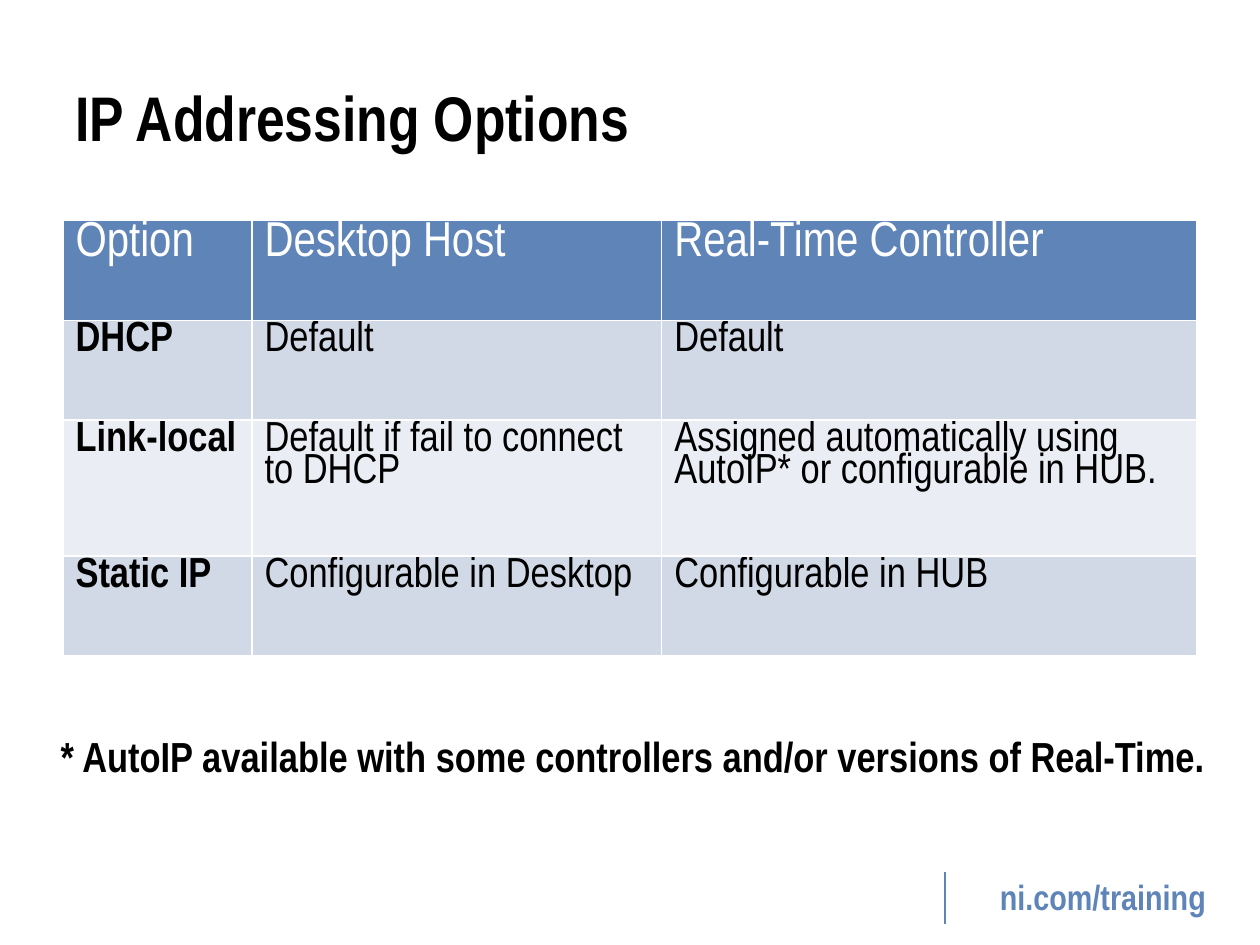
"""Build the IP addressing options slide with its comparison table."""
from lxml import etree
from pptx import Presentation
from pptx import util as u
from pptx.dml.color import RGBColor
from pptx.enum import shapes, text
from pptx.oxml.ns import qn

FONT = "Arial Narrow"
COLORS = {"blue": "5E84B8", "band": "D2D9E6", "light": "EAEDF3",
          "white": "FFFFFF", "black": "000000"}
ROWS = [
    ("Option", "Desktop Host", "Real-Time Controller"),
    ("DHCP", "Default", "Default"),
    ("Link-local", "Default if fail to connect to DHCP",
     "Assigned automatically using AutoIP* or configurable in HUB."),
    ("Static IP", "Configurable in Desktop", "Configurable in HUB"),
]
COL_WIDTHS = (3.81, 8.26, 10.79)
ROW_HEIGHTS = (2.01, 2.01, 2.74, 2.01)
LEFT, TABLE_TOP, WIDTH = 1.27, 4.45, 22.86
LEFT_ALIGN, CENTER = text.PP_ALIGN.LEFT, text.PP_ALIGN.CENTER
TOP, MIDDLE = text.MSO_ANCHOR.TOP, text.MSO_ANCHOR.MIDDLE
TEXTS = [
    ("IP Addressing Options", (LEFT, 0.76, WIDTH, 3.18), 36, "black", LEFT_ALIGN, MIDDLE, True),
    ("* AutoIP available with some controllers and/or versions of Real-Time.",
     (0.84, 14.61, 23.83, 1.28), 24, "black", CENTER, TOP, False),
    ("ni.com/training", (19.48, 17.53, 5.51, 1.11), 20, "blue", CENTER, TOP, True),
]


def rgb(name):
    return RGBColor.from_string(COLORS[name])


def style(p, size, color, bold):
    p.font.name, p.font.size, p.font.bold = FONT, u.Pt(size), bold
    p.font.color.rgb = rgb(color)


def add_text(s, content, box, size, color, align, anchor, wrap):
    tf = s.shapes.add_textbox(*map(u.Cm, box)).text_frame
    tf.word_wrap, tf.vertical_anchor = wrap, anchor
    p = tf.paragraphs[0]
    p.text, p.alignment = content, align
    style(p, size, color, True)


def add_borders(cell):
    tc_pr = cell._tc.get_or_add_tcPr()
    for i, side in enumerate(("a:lnL", "a:lnR", "a:lnT", "a:lnB")):
        ln = etree.Element(qn(side), w=str(u.Pt(1)))
        fill = etree.SubElement(ln, qn("a:solidFill"))
        etree.SubElement(fill, qn("a:srgbClr"), val=COLORS["white"])
        tc_pr.insert(i, ln)


def add_options_table(s):
    table = s.shapes.add_table(
        len(ROWS), len(COL_WIDTHS), u.Cm(LEFT), u.Cm(TABLE_TOP),
        u.Cm(WIDTH), u.Cm(sum(ROW_HEIGHTS))).table
    for column, width in zip(table.columns, COL_WIDTHS):
        column.width = u.Cm(width)
    for r, (row, height) in enumerate(zip(ROWS, ROW_HEIGHTS)):
        table.rows[r].height = u.Cm(height)
        header = r == 0
        for c, content in enumerate(row):
            cell = table.cell(r, c)
            cell.fill.solid()
            cell.fill.fore_color.rgb = rgb("blue" if header else "band" if r % 2 else "light")
            add_borders(cell)
            p = cell.text_frame.paragraphs[0]
            p.text, p.line_spacing = content, 0.8
            style(p, 28 if header else 24, "white" if header else "black",
                  c == 0 and not header)


def add_footer_rule(s):
    line = s.shapes.add_connector(shapes.MSO_CONNECTOR.STRAIGHT, u.Cm(19.05), u.Cm(17.58),
                                  u.Cm(19.05), u.Cm(18.62))
    line.line.color.rgb, line.line.width = rgb("blue"), u.Pt(1.5)
    etree.SubElement(line._element.spPr, qn("a:effectLst"))


def main():
    prs = Presentation()
    prs.slide_width, prs.slide_height = u.Cm(25.4), u.Cm(19.05)
    s = prs.slides.add_slide(prs.slide_layouts[6])
    for item in TEXTS:
        add_text(s, *item)
    add_options_table(s)
    add_footer_rule(s)
    prs.save("out.pptx")


if __name__ == "__main__":
    main()
